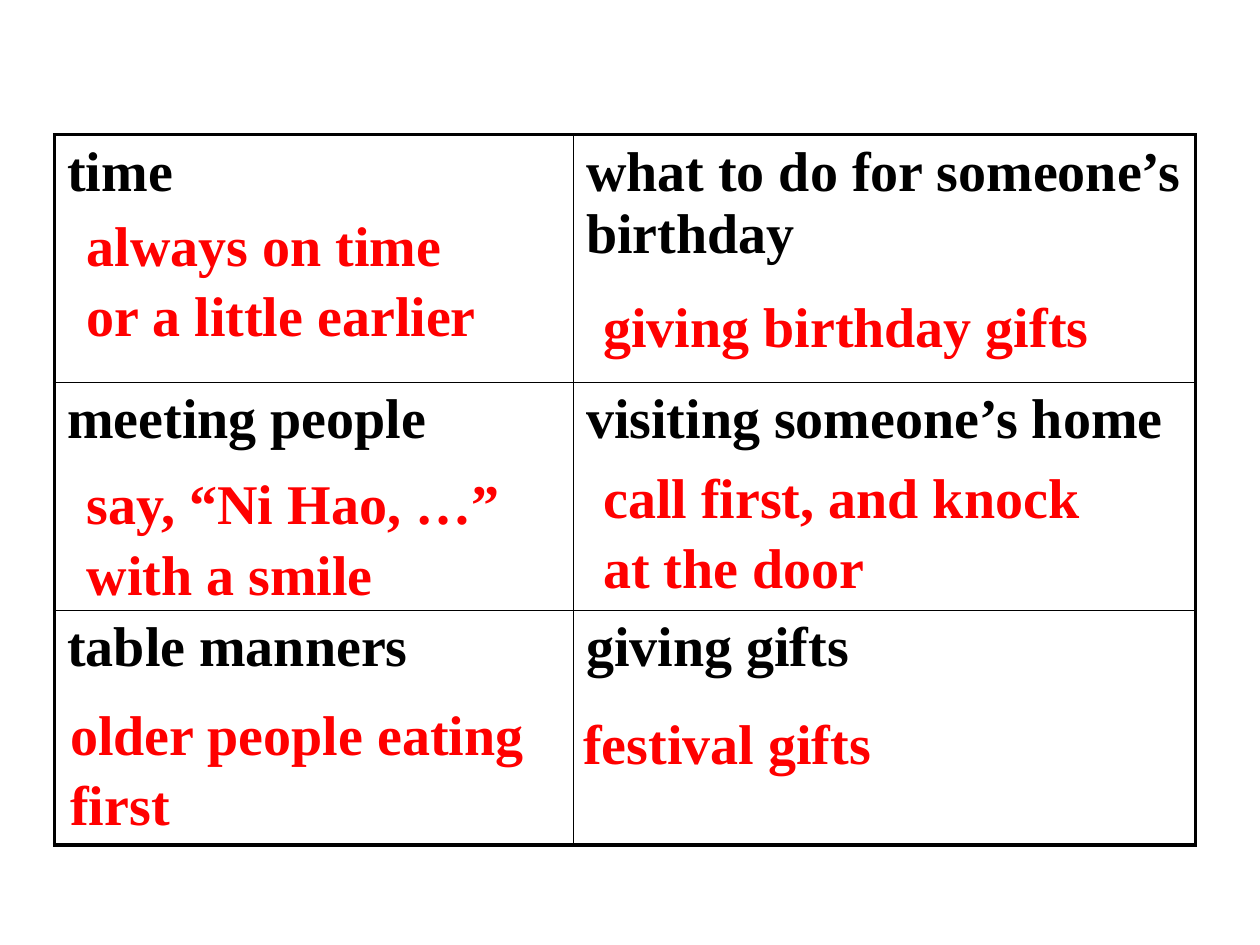
from pptx import Presentation
from pptx.util import Pt
from pptx.dml.color import RGBColor
from pptx.enum.text import MSO_ANCHOR as Anchor, MSO_AUTO_SIZE as Fit
from pptx.oxml import parse_xml
from pptx.oxml.ns import nsdecls


def style(frame, color):
    for par in frame.paragraphs:
        for run in par.runs:
            font = run.font
            font.name = "Times New Roman"
            font.size = Pt(32)
            font.bold = True
            font.color.rgb = RGBColor.from_string(color)


def border(cell, side, width):
    cell._tc.get_or_add_tcPr().append(parse_xml(
        f'<a:ln{side} {nsdecls("a")} w="{Pt(width)}"><a:solidFill>'
        f'<a:srgbClr val="000000"/></a:solidFill></a:ln{side}>'))


deck = Presentation()
deck.slide_width, deck.slide_height = Pt(720), Pt(540)
slide = deck.slides.add_slide(deck.slide_layouts[6])

# Table of topics
topics = [
    ["time", "what to do for someone’s birthday"],
    ["meeting people", "visiting someone’s home"],
    ["table manners", "giving gifts"],
]
widths = [296.5, 355.5]
heights = [141.5, 130.5, 134]
table = slide.shapes.add_table(
    3, 2, Pt(31.2), Pt(77), Pt(sum(widths)), Pt(sum(heights))).table
table.first_row = table.horz_banding = False
for col, width in zip(table.columns, widths):
    col.width = Pt(width)
for row, height in zip(table.rows, heights):
    row.height = Pt(height)

# Thick outer frame, thin inner lines
for r, line in enumerate(topics):
    for c, text in enumerate(line):
        cell = table.cell(r, c)
        cell.text_frame.text = text
        style(cell.text_frame, "000000")
        outer = {"L": c == 0, "R": c == 1, "T": r == 0, "B": r == 2}
        for side, thick in outer.items():
            border(cell, side, 2.25 if thick else 1)
        cell.fill.background()

# Red answers: left, top, width, height, wrap, text
answers = [
    (42.5, 116.6, 244, 84.2, True, "always on time or a little earlier"),
    (326.2, 400.3, 285, 46, True, "festival gifts"),
    (337.7, 260.6, 319.7, 84.2, True, "call first, and knock at the door"),
    (42.5, 264.2, 252, 84.2, False, "say, “Ni Hao, …”\nwith a smile"),
    (337.7, 162, 299.5, 46, False, "giving birthday gifts"),
    (33.1, 396, 286.6, 84.2, True, "older people eating first"),
]
for left, top, width, height, wrap, text in answers:
    box = slide.shapes.add_textbox(Pt(left), Pt(top), Pt(width), Pt(height))
    frame = box.text_frame
    frame.text = text
    frame.word_wrap = wrap
    frame.auto_size = Fit.SHAPE_TO_FIT_TEXT
    frame.vertical_anchor = Anchor.MIDDLE
    for par in frame.paragraphs:
        par.line_spacing = 1.05
    style(frame, "FF0000")

deck.save("out.pptx")
